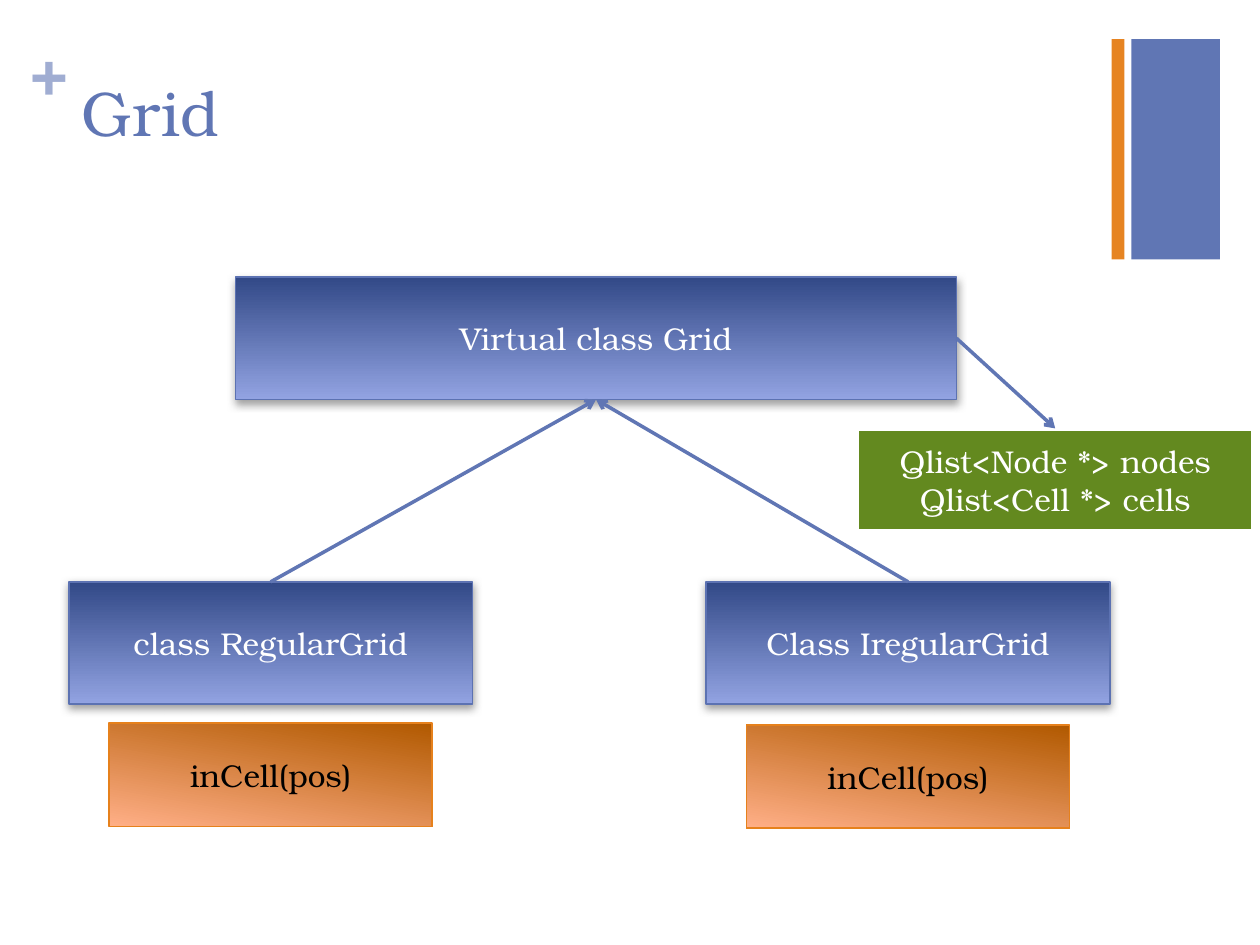
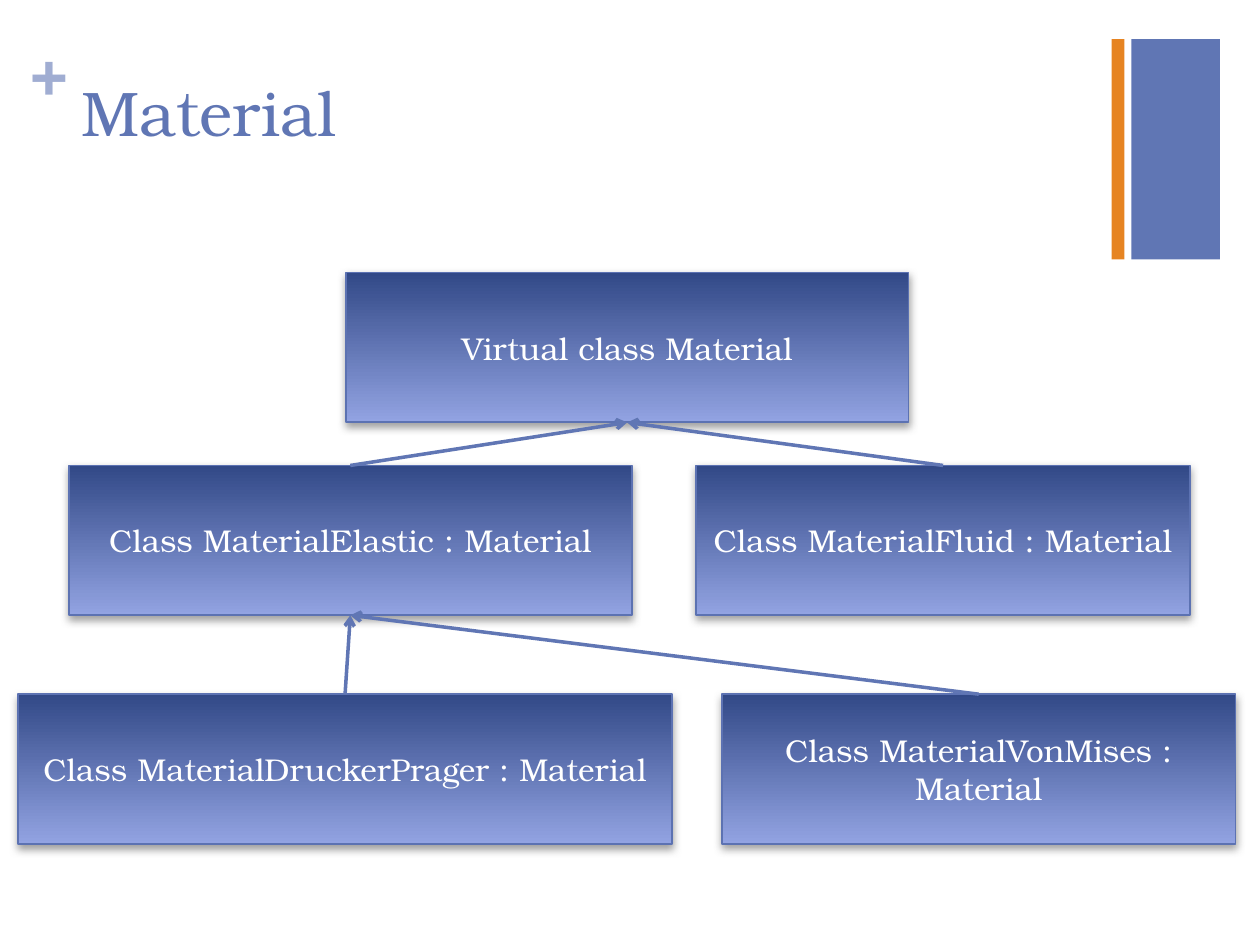
from lxml import etree
from pptx import Presentation
from pptx import util as u
from pptx.dml.color import RGBColor
from pptx.enum import shapes, text
from pptx.oxml import parse_xml
from pptx.oxml.ns import nsdecls, qn

FONT = "TeX Gyre Bonum"
COLORS = {
    "blue": "6076B4", "pale": "A0ADD2", "orange": "E68422",
    "navy": "324987", "sky": "92A3E2", "edge": "5C72B2",
    "rust": "B15900", "peach": "FFAF87", "rim": "E6811C",
    "green": "63891F", "white": "FFFFFF", "black": "000000", "gray": "808080",
}
RGB = {name: RGBColor.from_string(value) for name, value in COLORS.items()}

STYLES = {
    "class": {"fill": ("navy", "sky"), "angle": 270, "line": "edge", "width": 1,
              "font": "white", "shadow": True},
    "method": {"fill": ("rust", "peach"), "angle": 260, "line": "rim", "width": 1,
               "font": "black", "shadow": False},
    "members": {"fill": ("green",), "line": "white", "width": 3,
                "font": "white", "shadow": False},
}
SHADOW = (
    f'<a:effectLst {nsdecls("a")}><a:outerShdw blurRad="63500" dist="25400" dir="5400000" '
    f'algn="t" rotWithShape="0"><a:srgbClr val="{COLORS["gray"]}"><a:alpha val="75000"/>'
    '</a:srgbClr></a:outerShdw></a:effectLst>'
)

TOP, LEFT, BOTTOM, RIGHT = range(4)
SLIDES = [
    {
        "title": "Grid",
        "boxes": {
            "grid": ("class", "Virtual class Grid", 134.6, 158.3, 412, 70),
            "regular": ("class", "class RegularGrid", 39.4, 332.5, 230.6, 70),
            "irregular": ("class", "Class IregularGrid", 403.6, 332.5, 230.6, 70),
            "members": ("members", "Qlist<Node *> nodes\nQlist<Cell *> cells",
                        489.6, 244.8, 226.8, 59),
            "regular_cell": ("method", "inCell(pos)", 62.4, 413.3, 184.6, 59),
            "irregular_cell": ("method", "inCell(pos)", 426.6, 414.2, 184.6, 59),
        },
        "links": [
            ("regular", TOP, "grid", BOTTOM),
            ("irregular", TOP, "grid", BOTTOM),
            ("grid", RIGHT, "members", TOP),
        ],
    },
    {
        "title": "Material",
        "boxes": {
            "drucker_prager": ("class", "Class MaterialDruckerPrager : Material",
                               10.2, 396.7, 374, 85.6),
            "elastic": ("class", "Class MaterialElastic : Material", 39.4, 266, 321.6, 85.6),
            "fluid": ("class", "Class MaterialFluid : Material", 397.6, 266, 282.6, 85.6),
            "material": ("class", "Virtual class Material", 197.6, 155.8, 321.6, 85.6),
            "von_mises": ("class", "Class MaterialVonMises : Material",
                          412.6, 396.7, 293.4, 85.6),
        },
        "links": [
            ("elastic", TOP, "material", BOTTOM),
            ("fluid", TOP, "material", BOTTOM),
            ("drucker_prager", TOP, "elastic", BOTTOM),
            ("von_mises", TOP, "elastic", BOTTOM),
        ],
    },
]


def add_rect(s, x, y, w, h):
    sp = s.shapes.add_shape(shapes.MSO_SHAPE.RECTANGLE, *map(u.Pt, (x, y, w, h)))
    sp.shadow.inherit = False
    return sp


def write(tf, content, color, size, align, bold=False):
    tf.word_wrap = True
    tf.text = content
    for p in tf.paragraphs:
        p.alignment = align
        for r in p.runs:
            r.font.color.rgb = RGB[color]
            for name, value in {"name": FONT, "size": u.Pt(size), "bold": bold}.items():
                setattr(r.font, name, value)


prs = Presentation()
prs.slide_width, prs.slide_height = u.Pt(720), u.Pt(540)
layout = prs.slide_layouts[5]
for ph in list(layout.placeholders):
    if ph.placeholder_format.type != shapes.PP_PLACEHOLDER.TITLE:
        ph.element.getparent().remove(ph.element)

for i, data in enumerate(SLIDES):
    s = prs.slides.add_slide(layout)

    if i == 0:
        decor = []
        for color, x, w in (("blue", 646.5, 50.6), ("orange", 635.3, 7.2)):
            sp = add_rect(s, x, 22.3, w, 126)
            sp.fill.solid()
            sp.fill.fore_color.rgb = RGB[color]
            sp.line.fill.background()
            decor.append(sp)
        plus = s.shapes.add_textbox(*map(u.Pt, (17.3, 18, 20.9, 43.9)))
        for side in ("left", "top", "right", "bottom"):
            setattr(plus.text_frame, f"margin_{side}", 0)
        write(plus.text_frame, "+", "pale", 36, text.PP_ALIGN.LEFT, True)
        plus.text_frame.auto_size = text.MSO_AUTO_SIZE.SHAPE_TO_FIT_TEXT
        for sp in decor + [plus]:
            layout.shapes.element.append(sp.element)

    title = s.shapes.title
    for name, value in {"left": 39.6, "top": 38.2, "width": 594.7, "height": 87.8}.items():
        setattr(title, name, u.Pt(value))
    write(title.text_frame, data["title"], "blue", 36, text.PP_ALIGN.LEFT)
    title.text_frame.vertical_anchor = text.MSO_ANCHOR.TOP

    boxes = {}
    for key, (style, label, x, y, w, h) in data["boxes"].items():
        look = STYLES[style]
        sp = boxes[key] = add_rect(s, x, y, w, h)
        if "angle" in look:
            sp.fill.gradient()
            sp.fill.gradient_angle = look["angle"]
            for stop, color in zip(sp.fill.gradient_stops, look["fill"]):
                stop.color.rgb = RGB[color]
        else:
            sp.fill.solid()
            sp.fill.fore_color.rgb = RGB[look["fill"][0]]
        sp.line.color.rgb = RGB[look["line"]]
        sp.line.width = u.Pt(look["width"])
        if look["shadow"]:
            effects = sp.element.spPr.find(qn("a:effectLst"))
            effects.getparent().replace(effects, parse_xml(SHADOW))
        sp.text_frame.vertical_anchor = text.MSO_ANCHOR.MIDDLE
        write(sp.text_frame, label, look["font"], 18, text.PP_ALIGN.CENTER)

    for start, start_side, end, end_side in data["links"]:
        link = s.shapes.add_connector(shapes.MSO_CONNECTOR.STRAIGHT, 0, 0, 0, 0)
        link.begin_connect(boxes[start], start_side)
        link.end_connect(boxes[end], end_side)
        link.line.color.rgb = RGB["blue"]
        link.line.width = u.Pt(2)
        spPr = link.element.spPr
        etree.SubElement(spPr.find(qn("a:ln")), qn("a:tailEnd"), type="arrow")
        etree.SubElement(spPr, qn("a:effectLst"))

prs.save("out.pptx")
